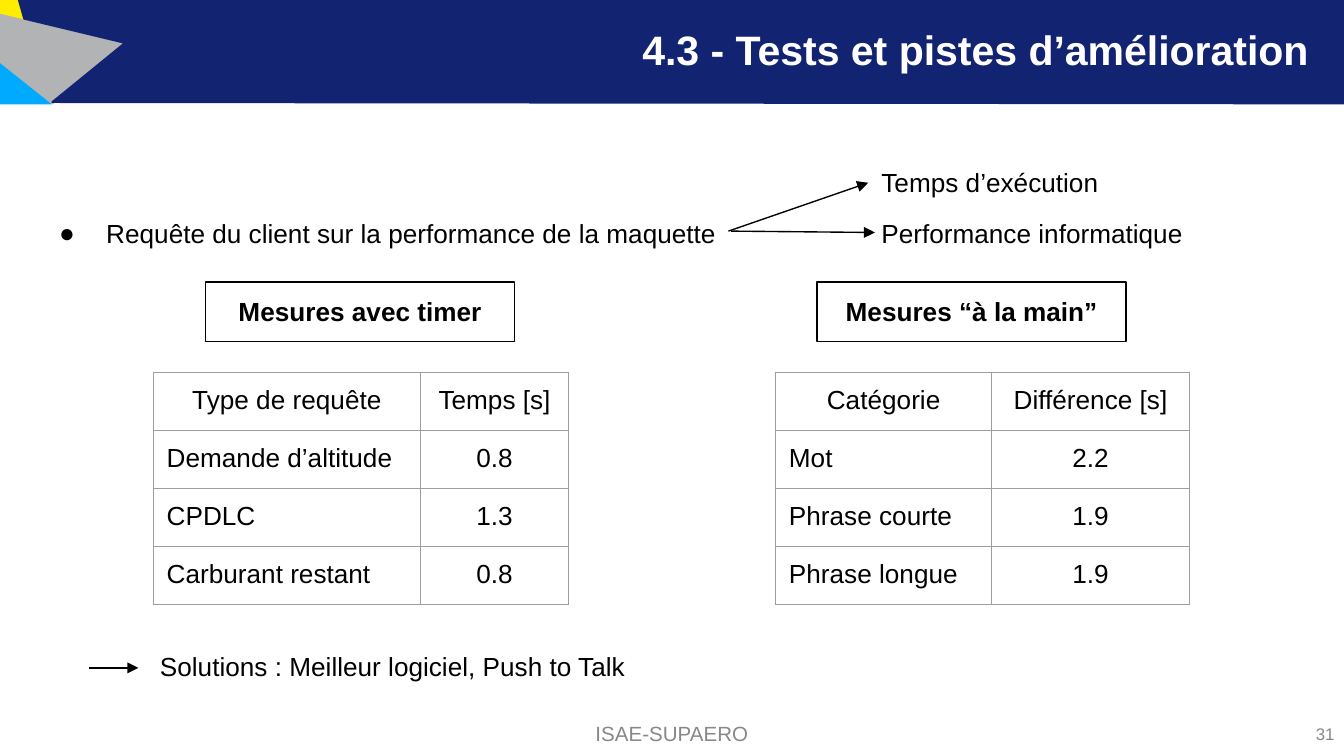
from lxml import etree
from pptx import Presentation
from pptx.dml.color import RGBColor
from pptx.enum.shapes import MSO_CONNECTOR as CONNECTOR, MSO_SHAPE as SHAPE
from pptx.enum.text import MSO_ANCHOR as ANCHOR, MSO_AUTO_SIZE as AUTO_SIZE, PP_ALIGN as ALIGN
from pptx.oxml import parse_xml
from pptx.oxml.ns import nsdecls, qn
from pptx.util import Inches, Pt

LEFT, CENTER, RIGHT = ALIGN.LEFT, ALIGN.CENTER, ALIGN.RIGHT


def rgb(value):
    return RGBColor.from_string(value)


def write(frame, text, size=14, color="000000", bold=False, align=LEFT,
          anchor=ANCHOR.TOP, inset_x=0.1, inset_y=0.1):
    frame.word_wrap = True
    frame.auto_size = AUTO_SIZE.NONE
    frame.vertical_anchor = anchor
    frame.margin_left = frame.margin_right = Inches(inset_x)
    frame.margin_top = frame.margin_bottom = Inches(inset_y)
    para = frame.paragraphs[0]
    para.alignment = align
    para.space_before = Pt(0)
    span = para.add_run()
    span.text = text
    font = span.font
    font.name, font.size, font.bold = "Arial", Pt(size), bold
    font.color.rgb = rgb(color)
    return para


deck = Presentation()
deck.slide_width = Inches(10)
deck.slide_height = Inches(10) * 9 // 16
page = deck.slides.add_slide(deck.slide_layouts[1])
shapes = page.shapes
title, body = page.placeholders[0], page.placeholders[1]

# Header band and its coloured corner
header = [
    ("FFED00", [(0, 0), (0, 0.15), (0.21, 0.21), (0.17, 0)]),
    ("00ABFF", [(0, 0.45), (0, 0.77), (0.38, 0.77)]),
    ("B1B3B4", [(0, 0.11), (0, 0.46), (0.39, 0.77), (0.93, 0.33)]),
    ("122372", [(0.39, 0.76), (0.93, 0.32), (0.18, 0.14), (0.14, 0), (10, 0), (10, 0.77)]),
]
for color, corners in header:
    points = [(Inches(x), Inches(y)) for x, y in corners]
    builder = shapes.build_freeform(*points[0])
    builder.add_line_segments(points[1:], close=True)
    piece = builder.convert_to_shape()
    piece.shadow.inherit = False
    piece.fill.solid()
    piece.fill.fore_color.rgb = piece.line.color.rgb = rgb(color)
    piece.line.width = Pt(1)

# The title goes in front of the band
title.element.getparent().append(title.element)
title.left, title.top, title.width, title.height = map(Inches, (0.54, 0, 9.27, 0.77))
para = write(title.text_frame, "4.3 - Tests et pistes d’amélioration", size=22, color="FFFFFF",
             bold=True, align=RIGHT, anchor=ANCHOR.MIDDLE, inset_x=0.07, inset_y=0.04)
para.line_spacing = 0.9

# Bulleted list
body.left, body.top, body.width, body.height = map(Inches, (0.19, 1.52, 6.18, 0.44))
para = write(body.text_frame, "Requête du client sur la performance de la maquette")
props = para._p.get_or_add_pPr()
props.set("marL", str(Inches(0.5)))
props.set("indent", str(Inches(-0.35)))
for bullet in (
    f'<a:buClr {nsdecls("a")}><a:srgbClr val="000000"/></a:buClr>',
    f'<a:buFont {nsdecls("a")} typeface="Arial"/>',
    f'<a:buChar {nsdecls("a")} char="●"/>',
):
    props.append(parse_xml(bullet))

# Plain texts
small = dict(color="888888", anchor=ANCHOR.MIDDLE, inset_x=0.07, inset_y=0.04)
texts = [
    ("ISAE-SUPAERO", (3.31, 5.31, 3.38, 0.3), dict(small, size=11, align=CENTER)),
    ("31", (7.75, 5.31, 2.25, 0.3), dict(small, size=9, align=RIGHT)),
    ("Temps d’exécution", (6.46, 1.14, 3.5, 0.44), {}),
    ("Performance informatique", (6.46, 1.52, 3.5, 0.67), {}),
    ("Solutions : Meilleur logiciel, Push to Talk", (0.54, 4.74, 6.18, 0.44), dict(inset_x=0.65)),
]
boxes = {}
for text, area, style in texts:
    boxes[text] = shapes.add_textbox(*map(Inches, area))
    write(boxes[text].text_frame, text, **style)

# Arrows
arrows = [
    ((5.42, 1.72, 6.46, 1.36), boxes["Temps d’exécution"]),
    ((5.44, 1.72, 6.51, 1.73), None),
    ((0.66, 4.97, 1.03, 4.97), None),
]
for ends, target in arrows:
    arrow = shapes.add_connector(CONNECTOR.STRAIGHT, *map(Inches, ends))
    if target is not None:
        arrow.end_connect(target, 1)
    arrow.line.color.rgb = rgb("000000")
    arrow.line.width = Pt(0.75)
    props = arrow.element.spPr
    etree.SubElement(props.find(qn("a:ln")), qn("a:tailEnd"), type="triangle")
    etree.SubElement(props, qn("a:effectLst"))

# Measurements: a framed heading above each table
measures = [
    ("Mesures avec timer", 1.53, 1.14, (1.99, 1.1), [
        ("Type de requête", "Temps [s]"),
        ("Demande d’altitude", "0.8"),
        ("CPDLC", "1.3"),
        ("Carburant restant", "0.8"),
    ]),
    ("Mesures “à la main”", 6.08, 5.77, (1.61, 1.47), [
        ("Catégorie", "Différence [s]"),
        ("Mot", "2.2"),
        ("Phrase courte", "1.9"),
        ("Phrase longue", "1.9"),
    ]),
]
for heading, heading_left, table_left, widths, rows in measures:
    frame = shapes.add_shape(SHAPE.RECTANGLE, *map(Inches, (heading_left, 2.1, 2.3, 0.44)))
    frame.shadow.inherit = False
    frame.fill.background()
    frame.line.color.rgb = rgb("000000")
    frame.line.width = Pt(0.75)
    write(frame.text_frame, heading, bold=True, align=CENTER)

    table = shapes.add_table(len(rows), len(widths), *map(
        Inches, (table_left, 2.77, sum(widths), 1.73))).table
    table.first_row = table.horz_banding = False
    for column, width in zip(table.columns, widths):
        column.width = Inches(width)
    for r, values in enumerate(rows):
        for c, value in enumerate(values):
            cell = table.cell(r, c)
            cell.margin_left = cell.margin_right = Inches(0.1)
            cell.margin_top = cell.margin_bottom = Inches(0.1)
            para = cell.text_frame.paragraphs[0]
            para.alignment = LEFT if r and c == 0 else CENTER
            span = para.add_run()
            span.text = value
            span.font.name, span.font.size = "Arial", Pt(14)
            span.font.color.rgb = rgb("000000")
            borders = cell._tc.get_or_add_tcPr()
            for side in ("lnL", "lnR", "lnT", "lnB"):
                borders.append(parse_xml(
                    f'<a:{side} {nsdecls("a")} w="{Pt(0.75)}"><a:solidFill>'
                    f'<a:srgbClr val="9E9E9E"/></a:solidFill></a:{side}>'))
            cell.fill.background()

deck.save("out.pptx")
